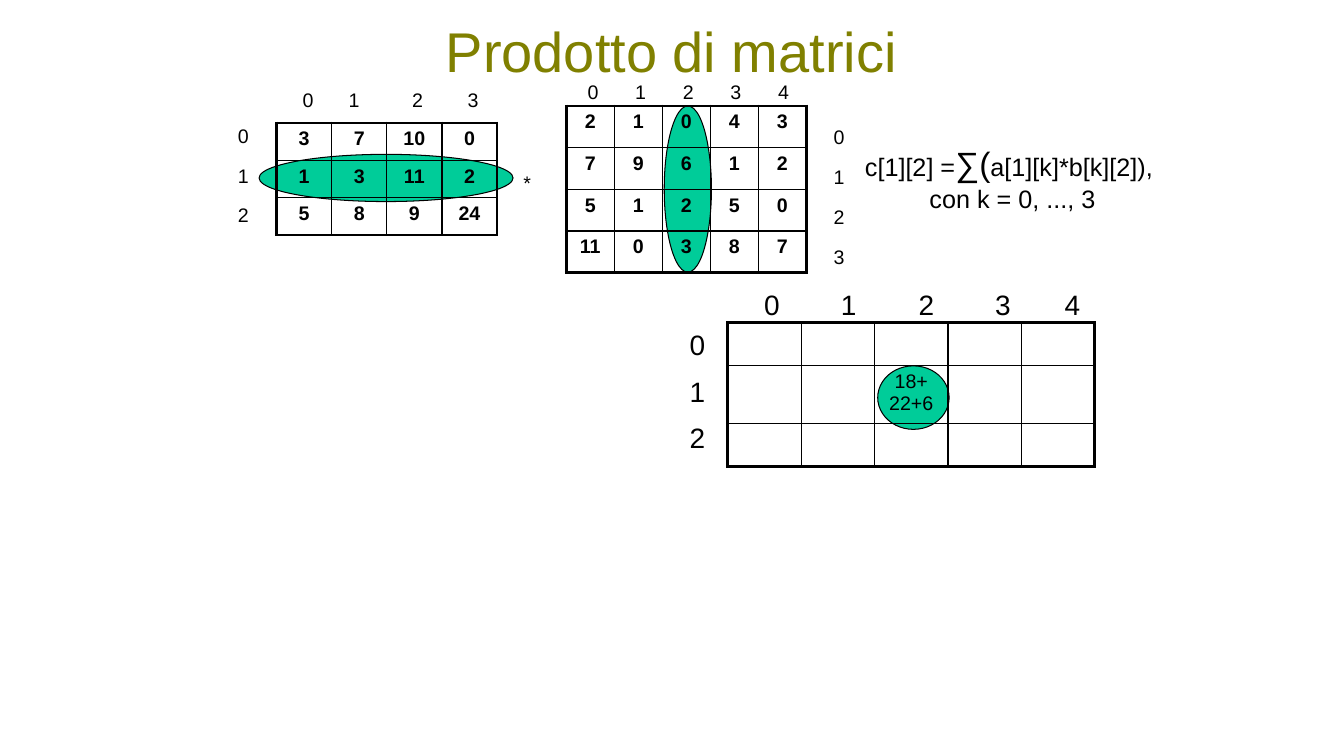
import pptx
import pptx.util
import pptx.dml.color
import pptx.enum.shapes
import pptx.enum.text
import pptx.oxml

Cm = pptx.util.Cm
Pt = pptx.util.Pt
BLACK = pptx.dml.color.RGBColor(0x00, 0x00, 0x00)
GREEN = pptx.dml.color.RGBColor(0x00, 0xCC, 0x99)
OLIVE = pptx.dml.color.RGBColor(0x80, 0x80, 0x00)
CENTER = pptx.enum.text.PP_ALIGN.CENTER
OVAL = pptx.enum.shapes.MSO_SHAPE.OVAL
NS = "http://schemas.openxmlformats.org/drawingml/2006/main"


def style(frame, size, color=BLACK, bold=False):
    for para in frame.paragraphs:
        para.alignment = CENTER
        for run in para.runs:
            run.font.name = "Arial"
            run.font.size = Pt(size)
            run.font.bold = bold
            run.font.color.rgb = color


def label(text, left, top, width, height, size):
    box = slide.shapes.add_textbox(Cm(left), Cm(top), Cm(width), Cm(height))
    frame = box.text_frame
    frame.word_wrap = False
    frame.text = text
    style(frame, size)
    return frame


deck = pptx.Presentation()
deck.slide_width = Cm(33.87)
deck.slide_height = Cm(19.05)
slide = deck.slides.add_slide(deck.slide_layouts[5])

title = slide.shapes.title
title.left, title.top, title.width, title.height = Cm(0.2), Cm(0.23), Cm(33.43), Cm(2.06)
title.text_frame.text = "Prodotto di matrici"
title.text_frame.vertical_anchor = pptx.enum.text.MSO_ANCHOR.MIDDLE
style(title.text_frame, 40, OLIVE)

ovals = [
    (22.12, 9.22, 1.8, 1.6),
    (16.74, 2.67, 1.19, 4.19),
    (6.53, 3.89, 6.4, 1.19),
]
for place in ovals:
    oval = slide.shapes.add_shape(OVAL, *[Cm(num) for num in place])
    oval.shadow.inherit = False
    oval.fill.solid()
    oval.fill.fore_color.rgb = GREEN
    oval.line.color.rgb = BLACK
    oval.line.width = Pt(0.75)

left_rows = [[3, 7, 10, 0], [1, 3, 11, 2], [5, 8, 9, 24]]
right_rows = [[2, 1, 0, 4, 3], [7, 9, 6, 1, 2], [5, 1, 2, 5, 0], [11, 0, 3, 8, 7]]
sum_rows = [[""] * 5, ["", "", "18+\v22+6", "", ""], [""] * 5]
grids = [
    (left_rows, 6.97, 3.1, 1.39, [0.94] * 3, True),
    (right_rows, 14.27, 2.67, 1.21, [1.05] * 4, True),
    (sum_rows, 18.34, 8.13, 1.85, [1.09, 1.45, 1.09], False),
]
for rows, left, top, wide, highs, bold in grids:
    high, span = len(rows), len(rows[0])
    table = slide.shapes.add_table(
        high, span, Cm(left), Cm(top), Cm(wide * span), Cm(sum(highs))
    ).table
    table.first_row = False
    table.horz_banding = False
    for col in table.columns:
        col.width = Cm(wide)
    for r, row in enumerate(rows):
        table.rows[r].height = Cm(highs[r])
        for c, value in enumerate(row):
            cell = table.cell(r, c)
            cell.fill.background()
            cell.text_frame.text = str(value)
            style(cell.text_frame, 14, bold=bold)
            edges = {"L": c == 0, "R": c == span - 1, "T": r == 0, "B": r == high - 1}
            props = cell._tc.get_or_add_tcPr()
            for spot, (side, outer) in enumerate(edges.items()):
                width = Pt(2.25 if outer else 1)
                props.insert(spot, pptx.oxml.parse_xml(
                    f'<a:ln{side} xmlns:a="{NS}" w="{width}"><a:solidFill>'
                    f'<a:srgbClr val="{BLACK}"/></a:solidFill></a:ln{side}>'
                ))

heads = [
    ([7.37, 8.53, 10.13, 11.53], 2.08, 0.79, 0.84, 14),
    ([14.55 + 1.2 * n for n in range(5)], 1.88, 0.79, 0.84, 14),
    ([19, 20.93, 22.89, 24.82, 26.57], 7.11, 0.91, 1.12, 20),
]
for lefts, top, wide, high, size in heads:
    for n, left in enumerate(lefts):
        label(str(n), left, top, wide, high, size)

sides = [
    (3, 5.74, 3, 1.0, 0.79, 0.84, 14),
    (4, 20.75, 3.02, 1.01, 0.79, 0.84, 14),
    (3, 17.12, 8.13, 1.17, 0.91, 1.12, 20),
]
for count, left, top, step, wide, high, size in sides:
    for n in range(count):
        label(str(n), left, top + n * step, wide, high, size)

label("*", 12.93, 4.19, 0.71, 0.84, 14)

rule = label("c[1][2] =", 21.54, 3.48, 7.95, 2.03, 18)
rule.paragraphs[0].add_run().text = "∑("
rule.paragraphs[0].add_run().text = "a[1][k]*b[k][2]), "
rule.add_paragraph().text = "con k = 0, ..., 3"
style(rule, 18)
rule.paragraphs[0].runs[1].font.size = Pt(24)

deck.save("out.pptx")
